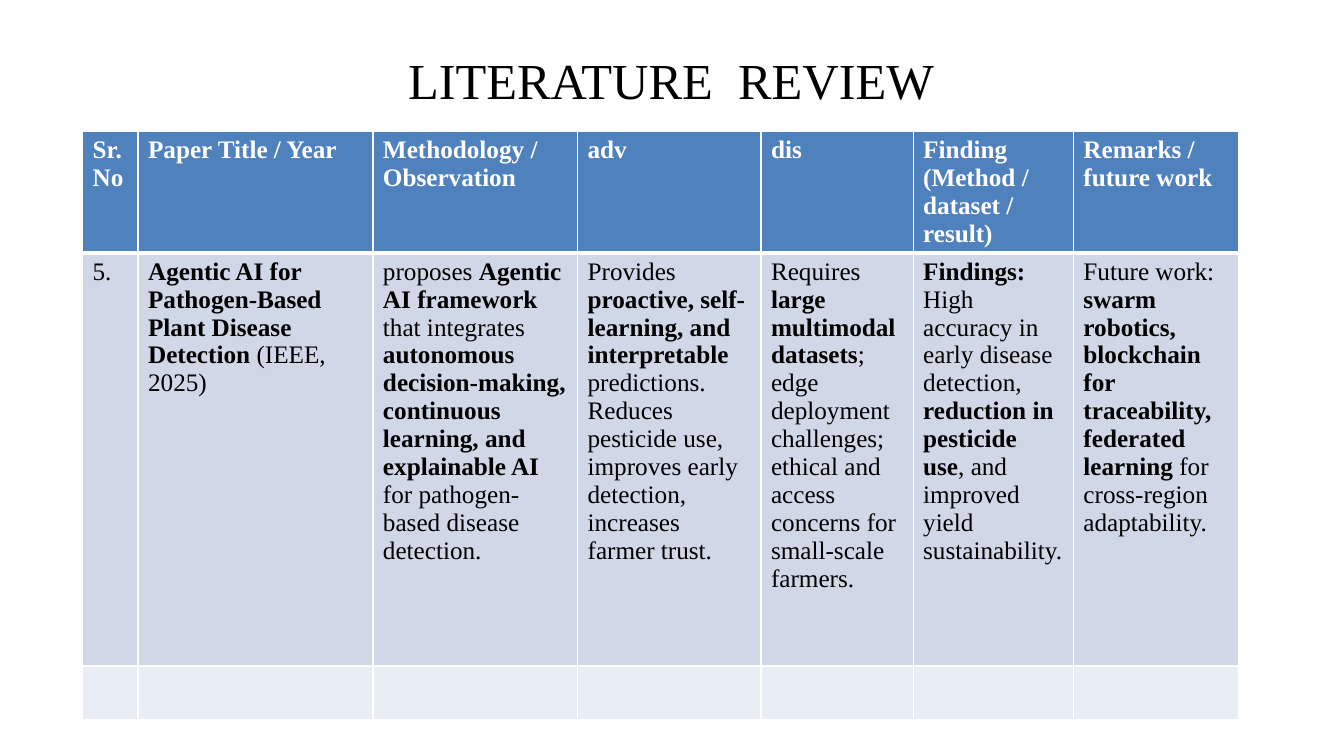
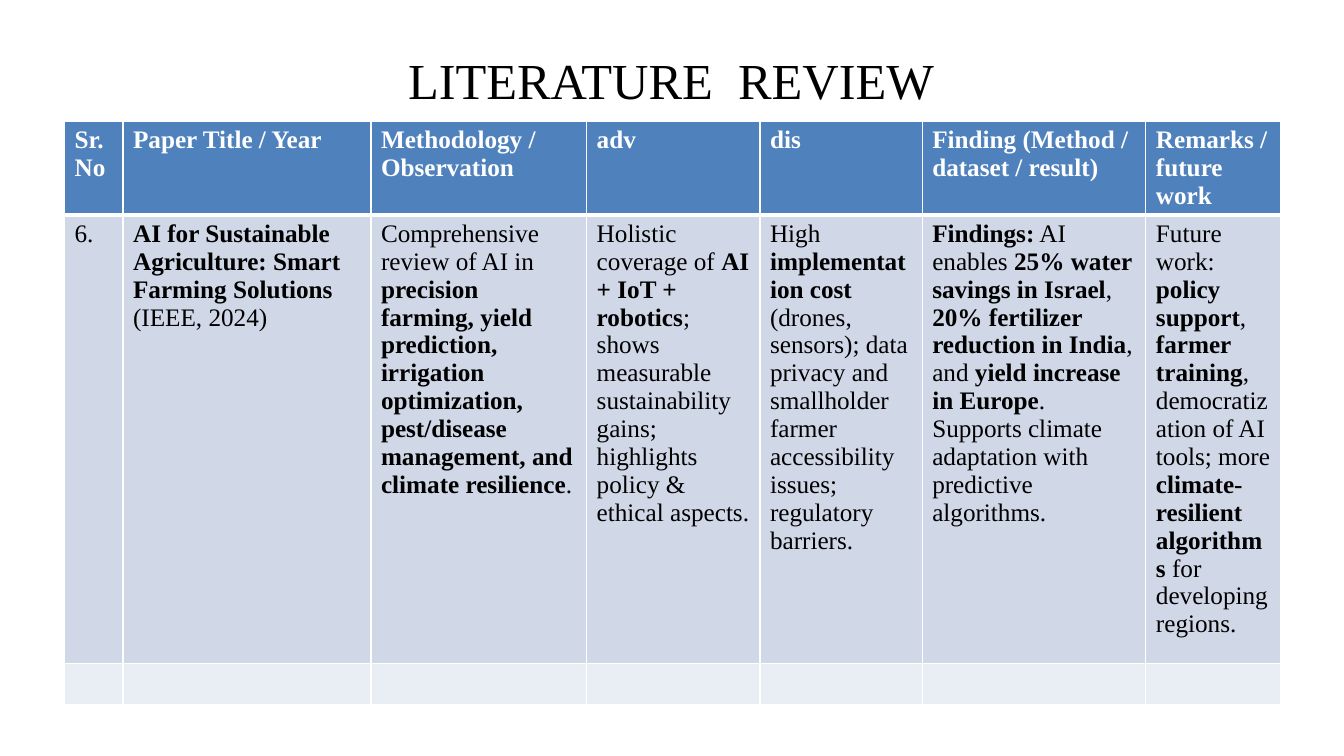
from dataclasses import dataclass
from lxml.etree import SubElement
from pptx import Presentation
from pptx.dml.color import RGBColor
from pptx.enum.text import MSO_ANCHOR as Anchor, PP_ALIGN as Align
from pptx.oxml.ns import qn
from pptx.util import Pt


@dataclass(frozen=True)
class Theme:
    font: str = "Times New Roman"
    title_size: float = 36
    table_size: float = 18
    ink: str = "000000"
    paper: str = "FFFFFF"
    header_fill: str = "4F81BD"
    review_fill: str = "D0D8E8"
    spare_fill: str = "E9EDF4"
    rule: float = 1
    header_rule: float = 3


THEME = Theme()
TITLE_BOX = (32.4, 12.2, 894.2, 88.6)
HEADINGS = [
    "Sr. No", "Paper Title / Year", "Methodology / Observation", "adv", "dis",
    "Finding (Method / dataset / result)", "Remarks / future work",
]


@dataclass(frozen=True)
class Review:
    origin: tuple
    widths: tuple
    heights: tuple
    entries: tuple


REVIEWS = [
    Review(
        origin=(59, 93.6),
        widths=(39.6, 167.8, 146.2, 131, 108.7, 114.5, 118.1),
        heights=(86.4, 295.2, 38.2),
        entries=(
            "5.",
            "**Agentic AI for Pathogen-Based Plant Disease Detection** (IEEE, 2025)",
            "proposes **Agentic AI framework** that integrates **autonomous "
            "decision-making, continuous learning, and explainable AI** for "
            "pathogen-based disease detection.",
            "Provides **proactive, self-learning, and interpretable** predictions. "
            "Reduces pesticide use, improves early detection, increases farmer trust.",
            "Requires **large multimodal datasets**; edge deployment challenges; "
            "ethical and access concerns for small-scale farmers.",
            "**Findings:** High accuracy in early disease detection, **reduction in "
            "pesticide use**, and improved yield sustainability.",
            "Future work: **swarm robotics, blockchain for traceability, federated "
            "learning** for cross-region adaptability.",
        ),
    ),
    Review(
        origin=(46.1, 86.4),
        widths=(41.8, 177.1, 154.1, 123.8, 115.9, 159.8, 96.5),
        heights=(65.5, 320.4, 26),
        entries=(
            "6.",
            "**AI for Sustainable Agriculture: Smart Farming Solutions** (IEEE, 2024)",
            "Comprehensive review of AI in **precision farming, yield prediction, "
            "irrigation optimization, pest/disease management, and climate "
            "resilience**.",
            "Holistic coverage of **AI + IoT + robotics**; shows measurable "
            "sustainability gains; highlights policy & ethical aspects.",
            "High **implementation cost** (drones, sensors); data privacy and "
            "smallholder farmer accessibility issues; regulatory barriers.",
            "**Findings:** AI enables **25% water savings in Israel**, **20% "
            "fertilizer reduction in India**, and **yield increase in Europe**. "
            "Supports climate adaptation with predictive algorithms.",
            "Future work: **policy support**, **farmer training**, democratization "
            "of AI tools; more **climate-resilient algorithms** for developing "
            "regions.",
        ),
    ),
]


def add_run(paragraph, text, size, color, bold=False):
    run = paragraph.add_run()
    run.text = text
    run.font.name = THEME.font
    run.font.size = Pt(size)
    run.font.bold = bold
    run.font.color.rgb = RGBColor.from_string(color)


def add_marked_text(paragraph, text, color):
    for index, part in enumerate(text.split("**")):
        if part:
            add_run(paragraph, part, THEME.table_size, color, index % 2 == 1)


def set_borders(cell, top, bottom):
    properties = cell._tc.get_or_add_tcPr()
    sides = (("lnL", THEME.rule), ("lnR", THEME.rule), ("lnT", top), ("lnB", bottom))
    for side, width in sides:
        line = SubElement(properties, qn(f"a:{side}"), w=str(Pt(width)))
        fill = SubElement(line, qn("a:solidFill"))
        SubElement(fill, qn("a:srgbClr"), val=THEME.paper)


def add_title(slide, text, box):
    title = slide.shapes.title
    title.left, title.top, title.width, title.height = map(Pt, box)
    frame = title.text_frame
    frame.word_wrap = True
    frame.vertical_anchor = Anchor.MIDDLE
    frame.paragraphs[0].alignment = Align.CENTER
    add_run(frame.paragraphs[0], text, THEME.title_size, THEME.ink)


def add_review_table(slide, review):
    rows = [
        ([f"**{heading}**" for heading in HEADINGS], THEME.header_fill, THEME.paper,
         THEME.rule, THEME.header_rule),
        (review.entries, THEME.review_fill, THEME.ink, THEME.header_rule, THEME.rule),
        ([""] * len(HEADINGS), THEME.spare_fill, THEME.ink, THEME.rule, THEME.rule),
    ]
    box = (*review.origin, sum(review.widths), sum(review.heights))
    table = slide.shapes.add_table(len(rows), len(HEADINGS), *map(Pt, box)).table
    table.horz_banding = False
    for column, width in zip(table.columns, review.widths):
        column.width = Pt(width)
    for table_row, height, (texts, fill, color, top, bottom) in zip(
            table.rows, review.heights, rows):
        table_row.height = Pt(height)
        for cell, text in zip(table_row.cells, texts):
            set_borders(cell, top, bottom)
            cell.fill.solid()
            cell.fill.fore_color.rgb = RGBColor.from_string(fill)
            paragraph = cell.text_frame.paragraphs[0]
            paragraph.font.size = Pt(THEME.table_size)
            add_marked_text(paragraph, text, color)


def add_review_slide(deck, review):
    slide = deck.slides.add_slide(deck.slide_layouts[5])
    add_title(slide, "LITERATURE  REVIEW", TITLE_BOX)
    add_review_table(slide, review)


def main():
    deck = Presentation()
    deck.slide_width, deck.slide_height = Pt(960), Pt(540)
    for review in REVIEWS:
        add_review_slide(deck, review)
    deck.save("out.pptx")


if __name__ == "__main__":
    main()
